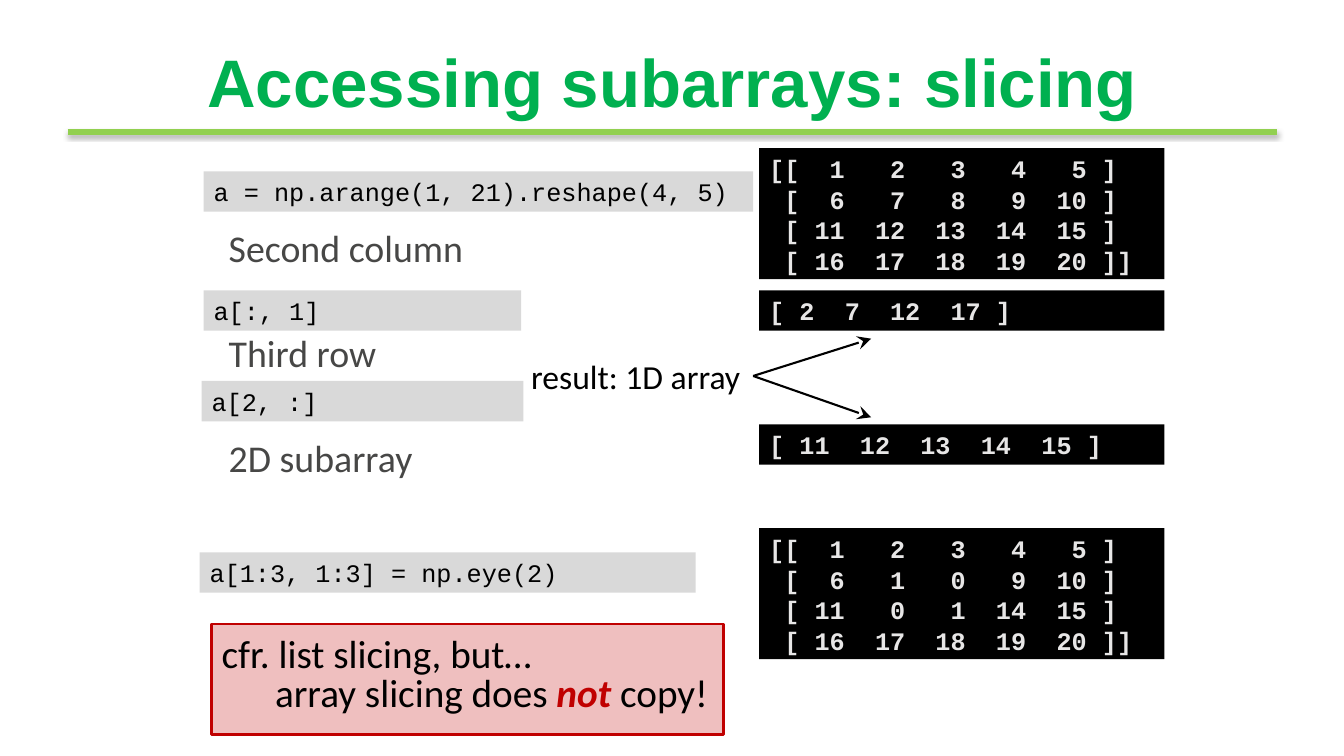
from dataclasses import dataclass

from lxml.etree import SubElement
from pptx import Presentation
from pptx.dml.color import RGBColor
from pptx.enum.shapes import MSO_CONNECTOR, MSO_SHAPE
from pptx.enum.text import MSO_ANCHOR, PP_ALIGN
from pptx.oxml.ns import qn
from pptx.util import Inches, Pt

GREEN, LIME, RED = "00B050", "92D050", "C00000"
BLACK, GREY, SILVER, PALE = "000000", "474746", "D9D9D9", "E7E6E6"

TITLE = {"name": "Arial", "size": Pt(48), "bold": True, "color": GREEN}
LABEL = {"name": "Calibri", "size": Pt(27), "color": GREY}
REMARK = {"name": "Calibri", "size": Pt(28), "color": BLACK}
STRESS = REMARK | {"color": RED, "bold": True, "italic": True}
RESULT = {"name": "Calibri", "size": Pt(24), "color": BLACK}
CODE = {"name": "Courier New", "size": Pt(18), "color": BLACK}
OUTPUT = CODE | {"color": PALE, "bold": True}


@dataclass
class Panel:
    left: float
    top: float
    width: float
    lines: list[str]
    fill: str = SILVER

    @property
    def height(self) -> float:
        return 0.1 + 0.3 * len(self.lines)


@dataclass
class Caption:
    left: float
    top: float
    width: float
    height: float
    paragraphs: list
    wrap: bool = False
    gap: float = 0


def paint(color_format, color: str) -> None:
    color_format.rgb = RGBColor.from_string(color)


def add_run(paragraph, text: str, style: dict) -> None:
    run = paragraph.add_run()
    run.text = text
    for name, value in style.items():
        if name == "color":
            paint(run.font.color, value)
        else:
            setattr(run.font, name, value)


def add_box(slide, left: float, top: float, width: float, height: float, fill: str):
    shape = slide.shapes.add_shape(
        MSO_SHAPE.RECTANGLE, Inches(left), Inches(top), Inches(width), Inches(height))
    shape.shadow.inherit = False
    shape.fill.solid()
    paint(shape.fill.fore_color, fill)
    shape.line.fill.background()
    return shape


def add_panel(slide, panel: Panel, style: dict) -> None:
    shape = add_box(slide, panel.left, panel.top, panel.width, panel.height, panel.fill)
    frame = shape.text_frame
    frame.word_wrap = True
    frame.vertical_anchor = MSO_ANCHOR.TOP
    for index, line in enumerate(panel.lines):
        paragraph = frame.add_paragraph() if index else frame.paragraphs[0]
        paragraph.alignment = PP_ALIGN.LEFT
        paragraph.line_spacing = Pt(21.8)
        add_run(paragraph, line, style)


def add_caption(slide, caption: Caption):
    box = slide.shapes.add_textbox(Inches(caption.left), Inches(caption.top),
                                   Inches(caption.width), Inches(caption.height))
    frame = box.text_frame
    frame.word_wrap = caption.wrap
    for index, runs in enumerate(caption.paragraphs):
        paragraph = frame.add_paragraph() if index else frame.paragraphs[0]
        if index:
            paragraph.space_before = Pt(caption.gap)
        for text, style in runs:
            add_run(paragraph, text, style)
    return frame


def add_line(slide, start: tuple, end: tuple, color: str, width: float):
    """Draw a straight line; return it with its empty effect list."""
    line = slide.shapes.add_connector(
        MSO_CONNECTOR.STRAIGHT, *(Inches(value) for value in (*start, *end)))
    paint(line.line.color, color)
    line.line.width = Pt(width)
    effects = SubElement(line.element.spPr, qn("a:effectLst"))
    return line, effects


def add_shadow(effects) -> None:
    shadow = SubElement(effects, qn("a:outerShdw"), blurRad=str(Pt(3.1)),
                        dist=str(Pt(1.6)), dir="5400000", rotWithShape="0")
    color = SubElement(shadow, qn("a:srgbClr"), val=BLACK)
    SubElement(color, qn("a:alpha"), val="38000")


def main() -> None:
    presentation = Presentation()
    presentation.slide_width = Inches(13.33)
    presentation.slide_height = Inches(7.5)
    slide = presentation.slides.add_slide(presentation.slide_layouts[6])

    # Title and its rule
    _, effects = add_line(slide, (0.67, 1.31), (12.67, 1.31), LIME, 4)
    add_shadow(effects)
    title = add_caption(slide, Caption(
        0.67, 0.34, 12, 0.86, [[("Accessing subarrays: slicing", TITLE)]], wrap=True))
    title.vertical_anchor = MSO_ANCHOR.BOTTOM
    title.margin_bottom = 0
    title.paragraphs[0].alignment = PP_ALIGN.CENTER

    # Warning box
    warning = add_box(slide, 2.1, 6.19, 5.08, 1.1, RED)
    fill_color = warning.element.spPr.find(qn("a:solidFill"))[0]
    SubElement(fill_color, qn("a:alpha"), val="25000")
    paint(warning.line.color, RED)
    warning.line.width = Pt(2)

    # Captions
    topics = ["Second column", "Third row", "2D subarray"]
    captions = [
        Caption(2.1, 6.19, 3.34, 0.57, [[("cfr. list slicing, but…", REMARK)]]),
        Caption(2.63, 6.58, 4.5, 0.57, [[("array slicing does ", REMARK),
                                         ("not ", STRESS), ("copy!", REMARK)]]),
        Caption(2.17, 2.18, 9, 4.29, [[(topic, LABEL)] for topic in topics],
                wrap=True, gap=42.5),
        Caption(5.17, 3.48, 2.3, 0.5, [[("result: 1D array", RESULT)]]),
    ]
    for caption in captions:
        add_caption(slide, caption)

    # Code statements
    statements = [
        Panel(2.02, 1.7, 5.45, ["a = np.arange(1, 21).reshape(4, 5)"]),
        Panel(2.02, 2.88, 3.15, ["a[:, 1]"]),
        Panel(2, 3.78, 3.19, ["a[2, :]"]),
        Panel(1.98, 5.48, 4.92, ["a[1:3, 1:3] = np.eye(2)"]),
    ]
    for statement in statements:
        add_panel(slide, statement, CODE)

    # Printed arrays
    first_row, last_row = "[[  1   2   3   4   5 ]", " [ 16  17  18  19  20 ]]"
    outputs = {
        1.47: [first_row, " [  6   7   8   9  10 ]", " [ 11  12  13  14  15 ]", last_row],
        2.88: ["[ 2  7  12  17 ]"],
        4.21: ["[ 11  12  13  14  15 ]"],
        5.24: [first_row, " [  6   1   0   9  10 ]", " [ 11   0   1  14  15 ]", last_row],
    }
    for top, lines in outputs.items():
        add_panel(slide, Panel(7.53, top, 4.02, lines, BLACK), OUTPUT)

    # Arrows to the one-dimensional results
    for end_top in (3.36, 4.14):
        arrow, _ = add_line(slide, (7.47, 3.73), (8.64, end_top), BLACK, 1.5)
        SubElement(arrow.element.spPr.find(qn("a:ln")), qn("a:tailEnd"), type="stealth",
                   w="lg", len="lg")

    presentation.save("out.pptx")


if __name__ == "__main__":
    main()
